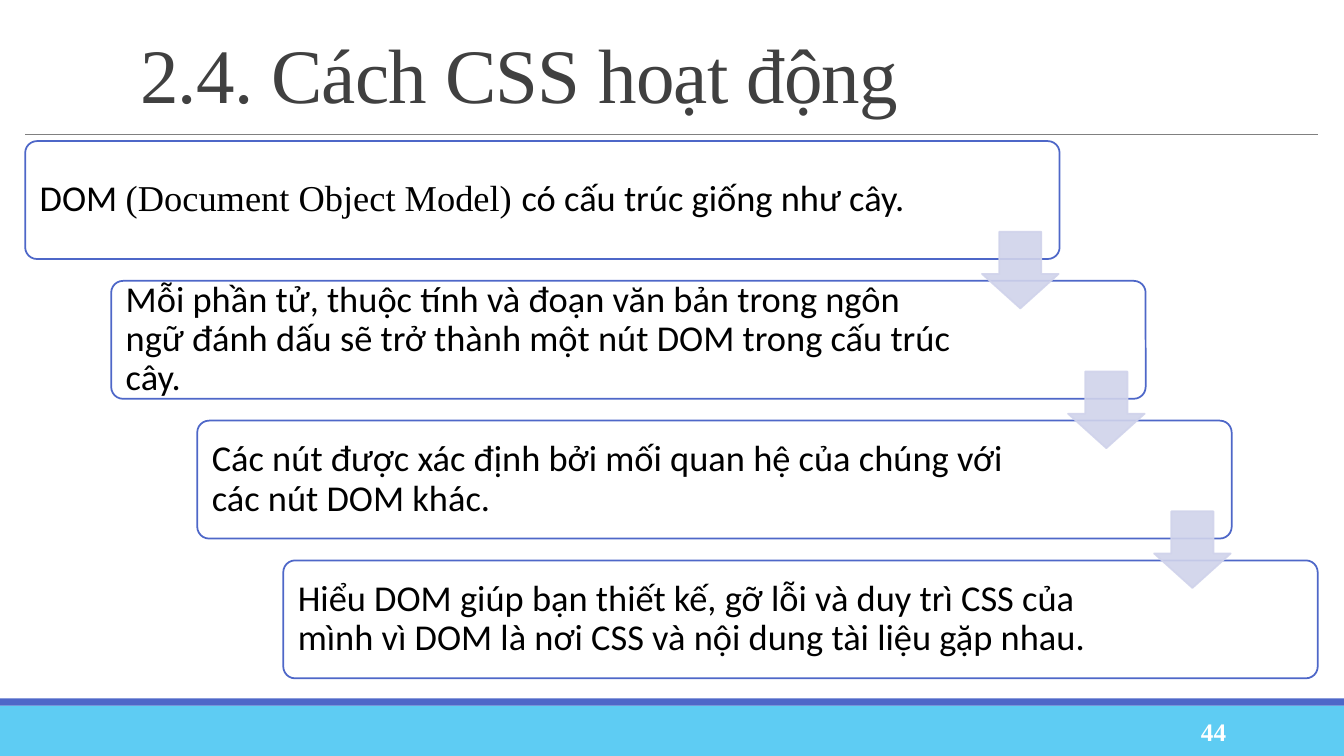
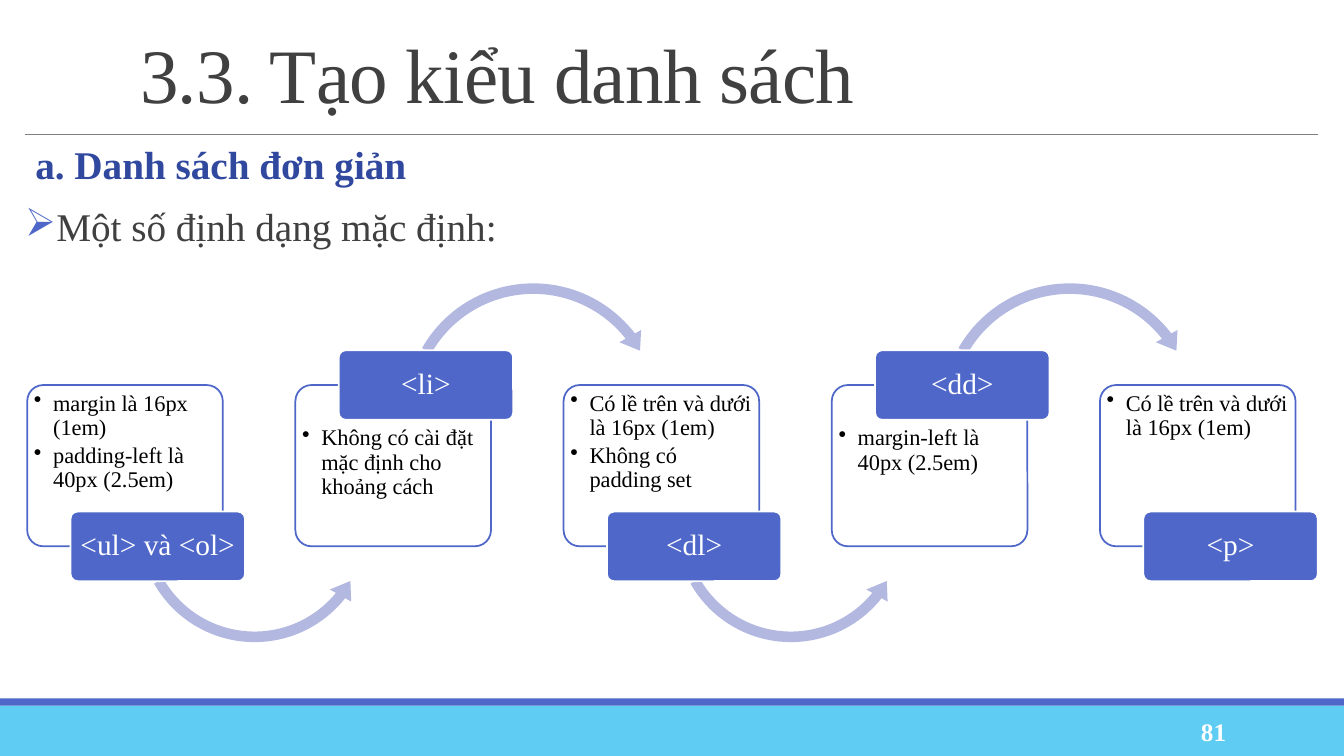
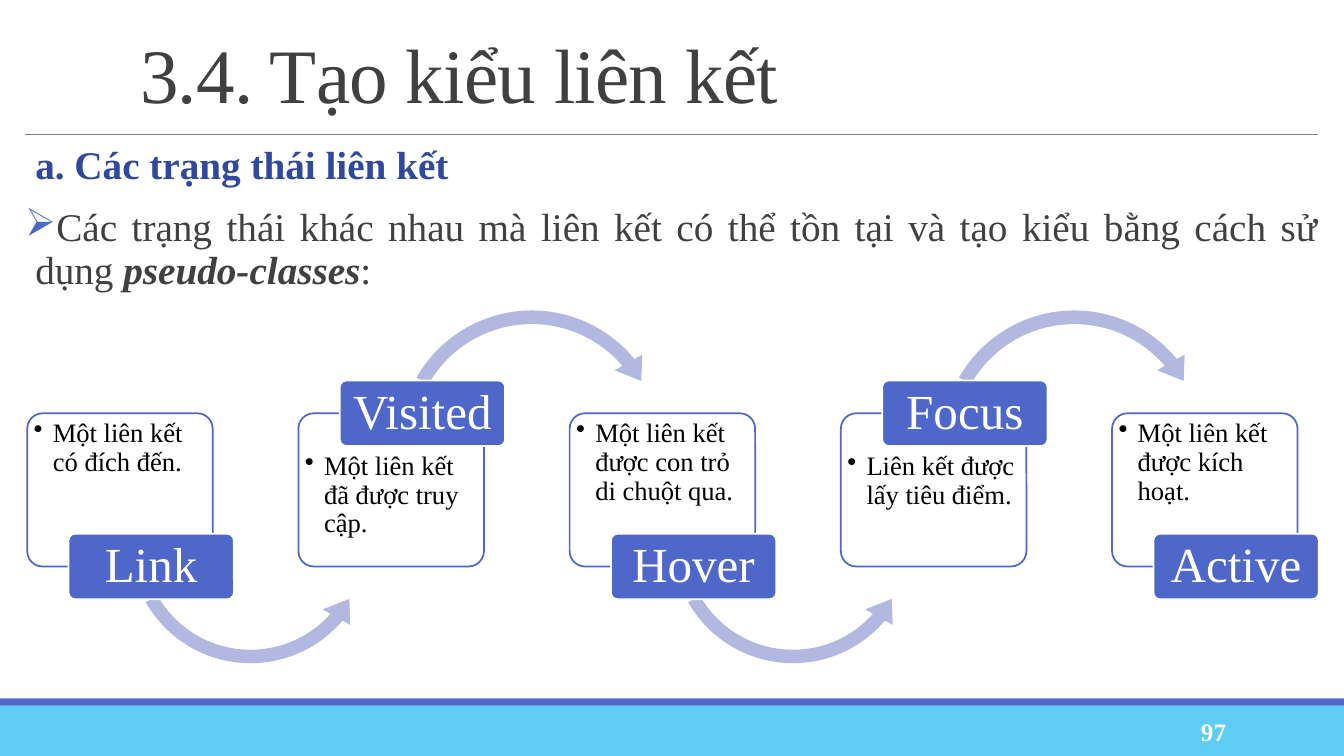
from lxml import etree
from pptx import Presentation
from pptx.dml.color import RGBColor
from pptx.enum import shapes, text
from pptx.oxml import ns
from pptx.util import Inches, Pt

COLORS = {
    "sky": "5ECCF3", "blue": "4E67C8", "navy": "31489F", "rule": "808080",
    "gray": "404040", "black": "000000", "white": "FFFFFF",
    "pale": "D0D3EB", "arc": "B2B8E0",
}
SERIF, SANS = "Times New Roman", "Calibri"
WIDTH, HEIGHT = 13.33, 7.5
LEFT, RIGHT = 0.25, 13.07
SHAPE = shapes.MSO_SHAPE
ALIGN = text.PP_ALIGN
ANCHOR = text.MSO_ANCHOR

# A paragraph is a list of (text, format changes) spans.
STEPS = {
    "title": "2.4. Cách CSS hoạt động", "number": 44,
    "steps": [
        [("DOM ", {}), ("(Document Object Model) ", {"font": SERIF}),
         ("có cấu trúc giống như cây.", {})],
        [("Mỗi phần tử, thuộc tính và đoạn văn bản trong ngôn ngữ đánh dấu "
          "sẽ trở thành một nút DOM trong cấu trúc cây.", {})],
        [("Các nút được xác định bởi mối quan hệ của chúng với các nút DOM khác.", {})],
        [("Hiểu DOM giúp bạn thiết kế, gỡ lỗi và duy trì CSS của mình "
          "vì DOM là nơi CSS và nội dung tài liệu gặp nhau.", {})],
    ],
    "right_insets": [1.42, 1.75, 1.75, 1.75],
}
CHAINS = [
    {
        "title": "3.3. Tạo kiểu danh sách", "number": 81,
        "heading": "a. Danh sách đơn giản",
        "lead": [("Một số định dạng mặc định:", {})],
        "cards": [
            ("<ul> và <ol>", ["margin là 16px (1em)", "padding-left là 40px (2.5em)"]),
            ("<li>", ["Không có cài đặt mặc định cho khoảng cách"]),
            ("<dl>", ["Có lề trên và dưới là 16px (1em)", "Không có padding set"]),
            ("<dd>", ["margin-left là 40px (2.5em)"]),
            ("<p>", ["Có lề trên và dưới là 16px (1em)"]),
        ],
        "top": 3.82, "pitch": 2.66, "card": (1.94, 1.6), "tag": (1.73, 0.69),
        "tag_shift": 0.43, "sizes": (16, 21),
        # Arcs: shift from the card, top, diameter, adjustments
        "low_arc": (1.04, 4.01, 2.43, (0.043, 5.469, 23.225, 90.245, 0.05)),
        "high_arc": (1.02, 2.74, 2.68, (0.039, 4.914, 193.331, 125.755, 0.046)),
    },
    {
        "title": "3.4. Tạo kiểu liên kết", "number": 97,
        "heading": "a. Các trạng thái liên kết",
        "lead": [("Các trạng thái khác nhau mà liên kết có thể tồn tại và "
                  "tạo kiểu bằng cách sử dụng ", {}),
                 ("pseudo-classes", {"bold": True, "italic": True}), (":", {})],
        "cards": [
            ("Link", ["Một liên kết có đích đến."]),
            ("Visited", ["Một liên kết đã được truy cập."]),
            ("Hover", ["Một liên kết được con trỏ di chuột qua."]),
            ("Focus", ["Liên kết được lấy tiêu điểm."]),
            ("Active", ["Một liên kết được kích hoạt."]),
        ],
        "top": 4.1, "pitch": 2.69, "card": (1.84, 1.52), "tag": (1.64, 0.65),
        "tag_shift": 0.41, "sizes": (19, 35),
        "low_arc": (0.93, 4.1, 2.57, (0.052, 6.773, 24.528, 90.245, 0.061)),
        "high_arc": (0.91, 2.99, 2.81, (0.048, 6.137, 192.108, 125.755, 0.056)),
    },
]


def rgb(name):
    return RGBColor.from_string(COLORS[name])


def add_box(page, kind, left, top, width, height, fill, line=None, adjust=()):
    box = page.shapes.add_shape(
        kind, Inches(left), Inches(top), Inches(width), Inches(height))
    box.shadow.inherit = False
    box.fill.solid()
    box.fill.fore_color.rgb = rgb(fill)
    if line:
        box.line.color.rgb = rgb(line)
        box.line.width = Pt(1.25)
    else:
        box.line.fill.background()
    for index, value in enumerate(adjust):
        box.adjustments[index] = value
    return box


def set_frame(box, insets, anchor):
    """Insets are left, top, right, bottom in inches."""
    frame = box.text_frame
    frame.word_wrap = True
    frame.auto_size = text.MSO_AUTO_SIZE.NONE
    frame.vertical_anchor = anchor
    (frame.margin_left, frame.margin_top,
     frame.margin_right, frame.margin_bottom) = map(Inches, insets)
    return frame


def write(frame, spans, size, color="black", font=SERIF, bold=False, align=ALIGN.LEFT,
          spacing=0.9, before=0, after=0, bullet=None, bullet_color=None,
          margin=0, indent=0, tracking=None):
    """Fill the frame's empty first paragraph, or add one after its text."""
    para = frame.add_paragraph() if frame.text else frame.paragraphs[0]
    para.alignment = align
    para.line_spacing = spacing
    para.space_before, para.space_after = Pt(before), Pt(after)
    props = para._p.get_or_add_pPr()
    props.set("marL", str(Inches(margin)))
    props.set("indent", str(Inches(indent)))
    if bullet:
        if bullet_color:
            holder = etree.SubElement(props, ns.qn("a:buClr"))
            etree.SubElement(holder, ns.qn("a:srgbClr"), val=COLORS[bullet_color])
        etree.SubElement(props, ns.qn("a:buChar"), char=bullet)
    for words, changes in spans:
        span = para.add_run()
        span.text = words
        span.font.size = Pt(size)
        span.font.name = changes.get("font", font)
        span.font.bold = changes.get("bold", bold)
        span.font.italic = changes.get("italic", False)
        span.font.color.rgb = rgb(color)
        if tracking is not None:
            span.font._element.set("spc", str(tracking))


def make_translucent(box, percent):
    for color in box.element.spPr.iter(ns.qn("a:srgbClr")):
        etree.SubElement(color, ns.qn("a:alpha"), val=str(percent * 1000))


def start_page(deck, title, number):
    """Add a slide with the shared bands, rule, title and number."""
    page = deck.slides.add_slide(deck.slide_layouts[5])
    add_box(page, SHAPE.RECTANGLE, 0, 7, WIDTH, 0.5, "sky")
    add_box(page, SHAPE.RECTANGLE, 0, 6.93, WIDTH, 0.07, "blue")
    rule = page.shapes.add_connector(
        shapes.MSO_CONNECTOR.STRAIGHT,
        Inches(LEFT), Inches(1.33), Inches(RIGHT), Inches(1.33))
    rule.line.color.rgb = rgb("rule")
    rule.line.width = Pt(0.5)
    etree.SubElement(rule.element.spPr, ns.qn("a:effectLst"))

    heading = page.shapes.title
    heading.left, heading.top = Inches(1.29), Inches(0.31)
    heading.width, heading.height = Inches(11.78), Inches(0.96)
    write(set_frame(heading, (0.1, 0.05, 0.1, 0.05), ANCHOR.MIDDLE), [(title, {})],
          size=55, color="gray", spacing=0.85, tracking=-50)

    corner = page.shapes.add_textbox(Inches(10.83), Inches(7.06), Inches(1.43), Inches(0.4))
    write(set_frame(corner, (0.1, 0.05, 0.1, 0.05), ANCHOR.MIDDLE), [(str(number), {})],
          size=18, color="white", bold=True, align=ALIGN.RIGHT, spacing=1)
    return page


def draw_steps(deck, data):
    page = start_page(deck, data["title"], data["number"])
    width, height, first_top, last_top = 10.26, 1.17, 1.4, 5.56
    gaps = len(data["steps"]) - 1
    spots = [(LEFT + i * (RIGHT - width - LEFT) / gaps,
              first_top + i * (last_top - first_top) / gaps) for i in range(gaps + 1)]
    for (left, top), spans, inset in zip(spots, data["steps"], data["right_insets"]):
        step = add_box(page, SHAPE.ROUNDED_RECTANGLE, left, top, width, height,
                       "white", "blue", [0.1])
        write(set_frame(step, (0.11, 0.11, inset, 0.11), ANCHOR.MIDDLE), spans,
              size=26, font=SANS)
    for left, top in spots[:-1]:
        arrow = add_box(page, SHAPE.DOWN_ARROW, left + 9.49, top + 0.9, 0.76, 0.76,
                        "pale", "pale", [0.55, 0.45])
        make_translucent(arrow, 90)


def draw_chain(deck, data):
    """Cards in a row, with tags and arcs in turn below and above."""
    page = start_page(deck, data["title"], data["number"])
    intro = page.shapes.add_textbox(
        Inches(LEFT), Inches(1.4), Inches(RIGHT - LEFT), Inches(1.6))
    frame = set_frame(intro, (0, 0.05, 0, 0.05), ANCHOR.TOP)
    write(frame, [(data["heading"], {})], size=28, color="navy", bold=True,
          align=ALIGN.JUSTIFY, after=2, margin=0.1)
    write(frame, data["lead"], size=28, color="gray", align=ALIGN.JUSTIFY, before=12,
          after=2, bullet="➢", bullet_color="blue", margin=0.1, indent=-0.1)

    width, height = data["card"]
    tag_width, tag_height = data["tag"]
    card_size, tag_size = data["sizes"]
    top = data["top"]
    for index, (label, points) in enumerate(data["cards"]):
        left = 0.27 + index * data["pitch"]
        high = index % 2 == 1
        card = add_box(page, SHAPE.ROUNDED_RECTANGLE, left, top, width, height,
                       "white", "blue", [0.1])
        text_top = tag_height / 2 + 0.02 if high else 0.02
        frame = set_frame(card, (0.02, text_top, 0.01, 0.02), ANCHOR.TOP)
        for point in points:
            write(frame, [(point, {})], size=card_size, after=3, bullet="•",
                  margin=0.19, indent=-0.19)

        if index < len(data["cards"]) - 1:
            shift, arc_top, size, adjust = data["high_arc" if high else "low_arc"]
            kind = SHAPE.CIRCULAR_ARROW if high else SHAPE.LEFT_CIRCULAR_ARROW
            add_box(page, kind, left + shift, arc_top, size, size, "arc", adjust=adjust)

        edge = top if high else top + height
        tag = add_box(page, SHAPE.ROUNDED_RECTANGLE, left + data["tag_shift"],
                      edge - tag_height / 2, tag_width, tag_height, "blue", "white", [0.1])
        write(set_frame(tag, (0.04, 0.03, 0.04, 0.03), ANCHOR.MIDDLE), [(label, {})],
              size=tag_size, color="white", align=ALIGN.CENTER)


def main():
    deck = Presentation()
    deck.slide_width, deck.slide_height = Inches(WIDTH), Inches(HEIGHT)
    draw_steps(deck, STEPS)
    for chain in CHAINS:
        draw_chain(deck, chain)
    deck.save("out.pptx")


if __name__ == "__main__":
    main()
